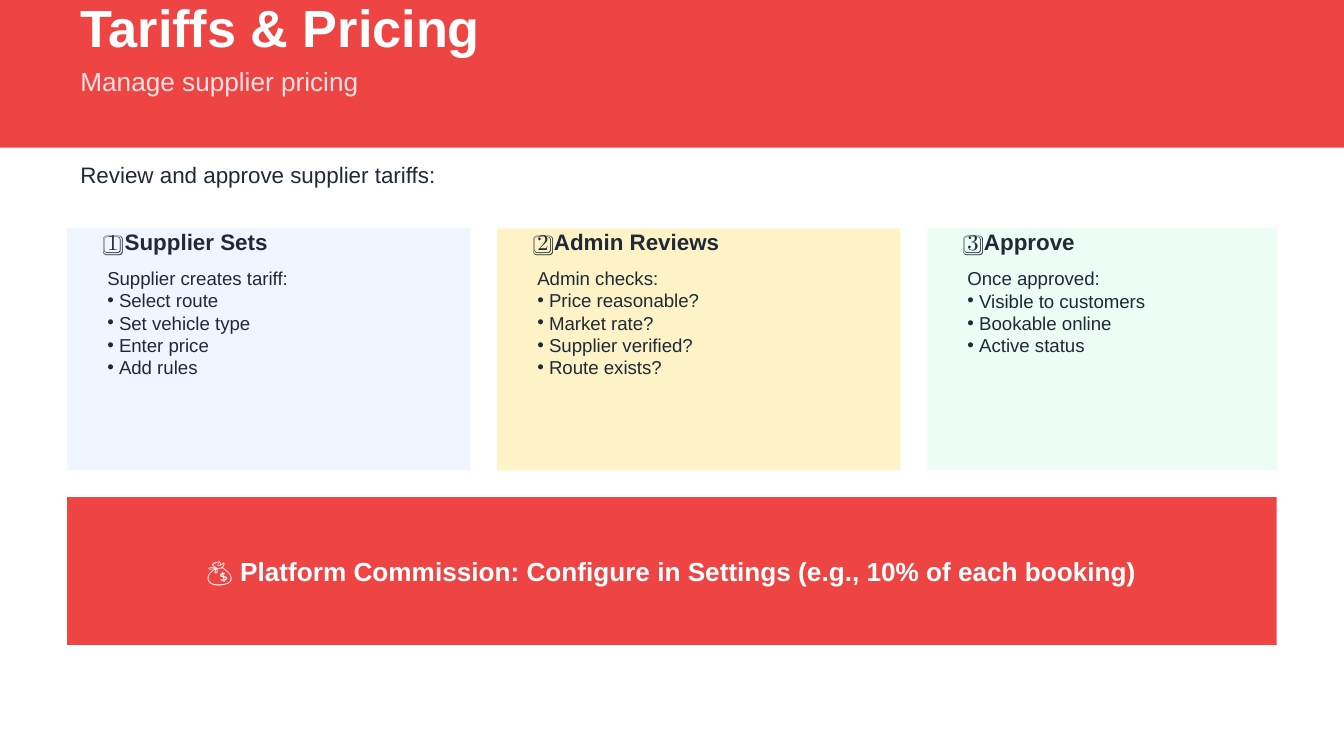
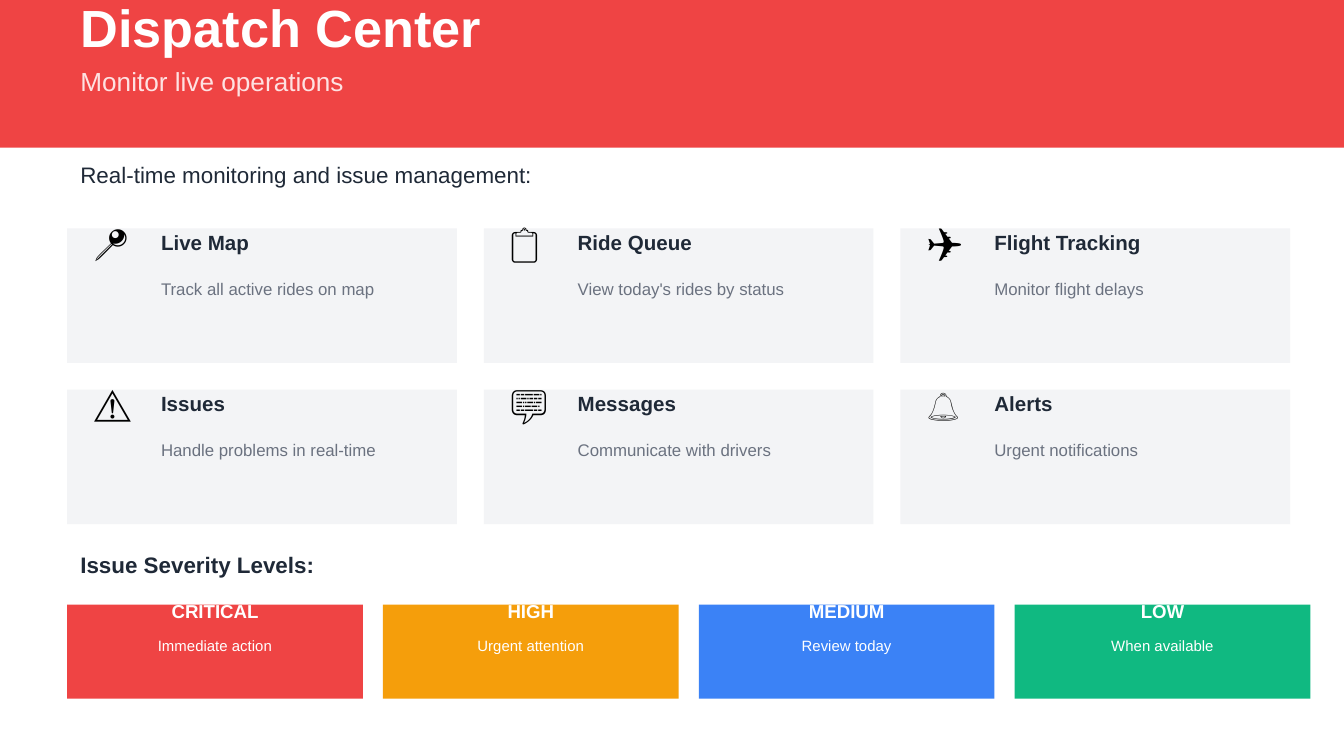
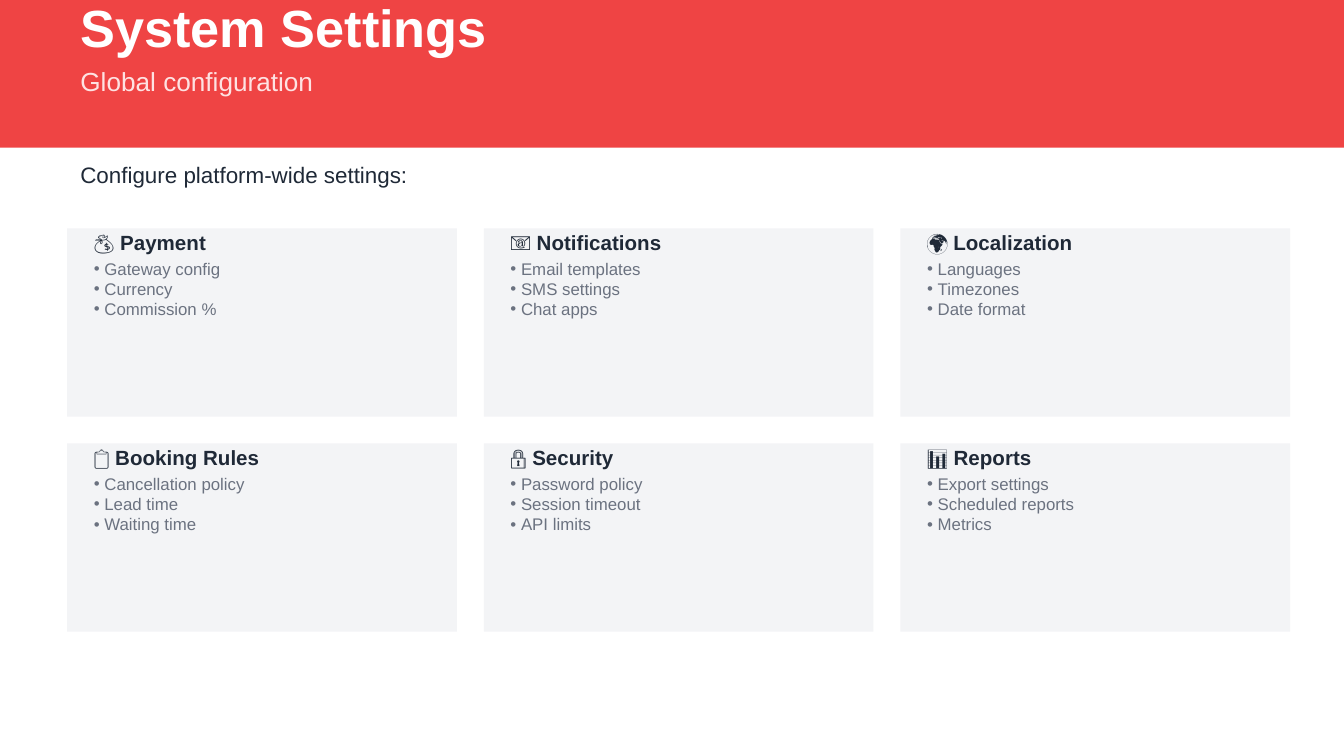
from itertools import product

from lxml.etree import SubElement
from pptx import Presentation
from pptx.dml.color import RGBColor
from pptx.enum.shapes import MSO_SHAPE
from pptx.enum.text import MSO_ANCHOR, MSO_AUTO_SIZE, PP_ALIGN
from pptx.oxml.ns import qn
from pptx.util import Inches, Pt

RED, WHITE, PINK = "EF4444", "FFFFFF", "FEE2E2"
INK, GRAY, PALE = "1F2937", "6B7280", "F3F4F6"
MID = PP_ALIGN.CENTER

STEPS = [
    (30, "EFF6FF", "1️⃣ Supplier Sets", ["Supplier creates tariff:", "• Select route",
                                         "• Set vehicle type", "• Enter price", "• Add rules"]),
    (30, "FEF3C7", "2️⃣ Admin Reviews", ["Admin checks:", "• Price reasonable?", "• Market rate?",
                                         "• Supplier verified?", "• Route exists?"]),
    (26, "ECFDF5", "3️⃣ Approve", ["Once approved:", "• Visible to customers",
                                   "• Bookable online", "• Active status"]),
]
TOOLS = [
    ("📍", "Live Map", "Track all active rides on map"),
    ("📋", "Ride Queue", "View today's rides by status"),
    ("✈️", "Flight Tracking", "Monitor flight delays"),
    ("⚠️", "Issues", "Handle problems in real-time"),
    ("💬", "Messages", "Communicate with drivers"),
    ("🔔", "Alerts", "Urgent notifications"),
]
LEVELS = [
    (RED, "CRITICAL", "Immediate action"),
    ("F59E0B", "HIGH", "Urgent attention"),
    ("3B82F6", "MEDIUM", "Review today"),
    ("10B981", "LOW", "When available"),
]
GROUPS = [
    ("💰 Payment", ["• Gateway config", "• Currency", "• Commission %"]),
    ("📧 Notifications", ["• Email templates", "• SMS settings", "• Chat apps"]),
    ("🌍 Localization", ["• Languages", "• Timezones", "• Date format"]),
    ("📋 Booking Rules", ["• Cancellation policy", "• Lead time", "• Waiting time"]),
    ("🔒 Security", ["• Password policy", "• Session timeout", "• API limits"]),
    ("📊 Reports", ["• Export settings", "• Scheduled reports", "• Metrics"]),
]


def paint(code):
    """Turn a hex string into a colour."""
    return RGBColor.from_string(code)


def unit(count):
    """Turn columns or rows of the grid into a length."""
    return Inches(count / 10)


class Deck:
    """Hold the style and the current slide, on a grid of 100 columns."""

    def __init__(self):
        """Start an empty wide deck."""
        self.show = Presentation()
        self.show.slide_width = Inches(10)
        self.show.slide_height = Inches(10 * 9 / 16)
        self.slide = None

    def page(self, title, sub, lead):
        """Add a slide with its band, title, subtitle and lead line."""
        self.slide = self.show.slides.add_slide(self.show.slide_layouts[5])
        self.box(0, 0, 100, 11, RED)
        head = self.slide.shapes.title
        self.slide.shapes.element.append(head.element)
        head.left, head.top, head.width, head.height = map(unit, (5, 2, 75, 0))
        self.fill(head.text_frame, [title], 28, WHITE, True)
        self.text(5, 6, [sub], 14, PINK)
        self.text(5, 13, [lead], 12)

    def box(self, col, row, wide, high, hue):
        """Draw a plain filled rectangle."""
        shape = self.slide.shapes.add_shape(
            MSO_SHAPE.RECTANGLE, *map(unit, (col, row, wide, high)))
        shape.shadow.inherit = False
        shape.fill.solid()
        shape.fill.fore_color.rgb = paint(hue)
        shape.line.fill.background()

    def text(self, col, row, lines, size, hue=INK, bold=False, wide=75, high=0, **look):
        """Write lines centred on a row, or within a given height."""
        area = self.slide.shapes.add_textbox(*map(unit, (col, row, wide, high)))
        self.fill(area.text_frame, lines, size, hue, bold, **look)

    def fill(self, frame, lines, size, hue, bold, align=PP_ALIGN.LEFT, font="Arial"):
        """Set the lines of a text frame, with bullets where marked."""
        frame.word_wrap = True
        frame.auto_size = MSO_AUTO_SIZE.NONE
        frame.vertical_anchor = MSO_ANCHOR.MIDDLE
        for spot, line in enumerate(lines):
            para = frame.add_paragraph() if spot else frame.paragraphs[0]
            para.alignment = align
            if line.startswith("• "):
                self.mark(para, size)
            run = para.add_run()
            run.text = line.removeprefix("• ")
            run.font.name, run.font.size, run.font.bold = font, Pt(size), bold
            run.font.color.rgb = paint(hue)

    def mark(self, para, size):
        """Give a paragraph a hanging bullet."""
        props = para._p.get_or_add_pPr()
        indent = Pt(size * 0.63)
        props.set("marL", str(indent))
        props.set("indent", str(-indent))
        SubElement(props, qn("a:buFont")).set("typeface", "Arial")
        SubElement(props, qn("a:buChar")).set("char", "•")

    def cards(self, items, high):
        """Draw a grid of three columns and yield each corner and item."""
        spots = product((17, 17 + high + 2), (5, 36, 67))
        for (row, col), item in zip(spots, items):
            self.box(col, row, 29, high, PALE)
            yield col, row, item


def tariffs(deck):
    """Build the pricing slide."""
    deck.page("Tariffs & Pricing", "Manage supplier pricing",
              "Review and approve supplier tariffs:")
    col = 5
    for wide, hue, head, lines in STEPS:
        deck.box(col, 17, wide, 18, hue)
        deck.text(col + 2, 18, [head], 12, bold=True)
        deck.text(col + 2, 20 + 0.8 * len(lines), lines, 10)
        col += wide + 2
    deck.box(5, 37, 90, 11, RED)
    note = "💰 Platform Commission: Configure in Settings (e.g., 10% of each booking)"
    deck.text(5, 37, [note], 14, WHITE, True, 90, 11, align=MID)


def dispatch(deck):
    """Build the monitoring slide."""
    deck.page("Dispatch Center", "Monitor live operations",
              "Real-time monitoring and issue management:")
    for col, row, (icon, head, line) in deck.cards(TOOLS, 10):
        deck.text(col + 1, row + 1, [icon], 20, "000000", font="Calibri")
        deck.text(col + 6, row + 1, [head], 11, bold=True)
        deck.text(col + 6, row + 4.5, [line], 9, GRAY, wide=22)
    deck.text(5, 42, ["Issue Severity Levels:"], 12, bold=True)
    for spot, (hue, head, line) in enumerate(LEVELS):
        col = 5 + 23.5 * spot
        deck.box(col, 45, 22, 7, hue)
        deck.text(col, 45.5, [head], 10, WHITE, True, 22, align=MID)
        deck.text(col, 48, [line], 8, WHITE, wide=22, align=MID)


def settings(deck):
    """Build the configuration slide."""
    deck.page("System Settings", "Global configuration",
              "Configure platform-wide settings:")
    for col, row, (head, lines) in deck.cards(GROUPS, 14):
        deck.text(col + 1, row + 1, [head], 11, bold=True)
        deck.text(col + 1, row + 4.5, lines, 9, GRAY)


def main():
    """Build and save the deck."""
    deck = Deck()
    for build in (tariffs, dispatch, settings):
        build(deck)
    deck.show.save("out.pptx")


if __name__ == "__main__":
    main()
